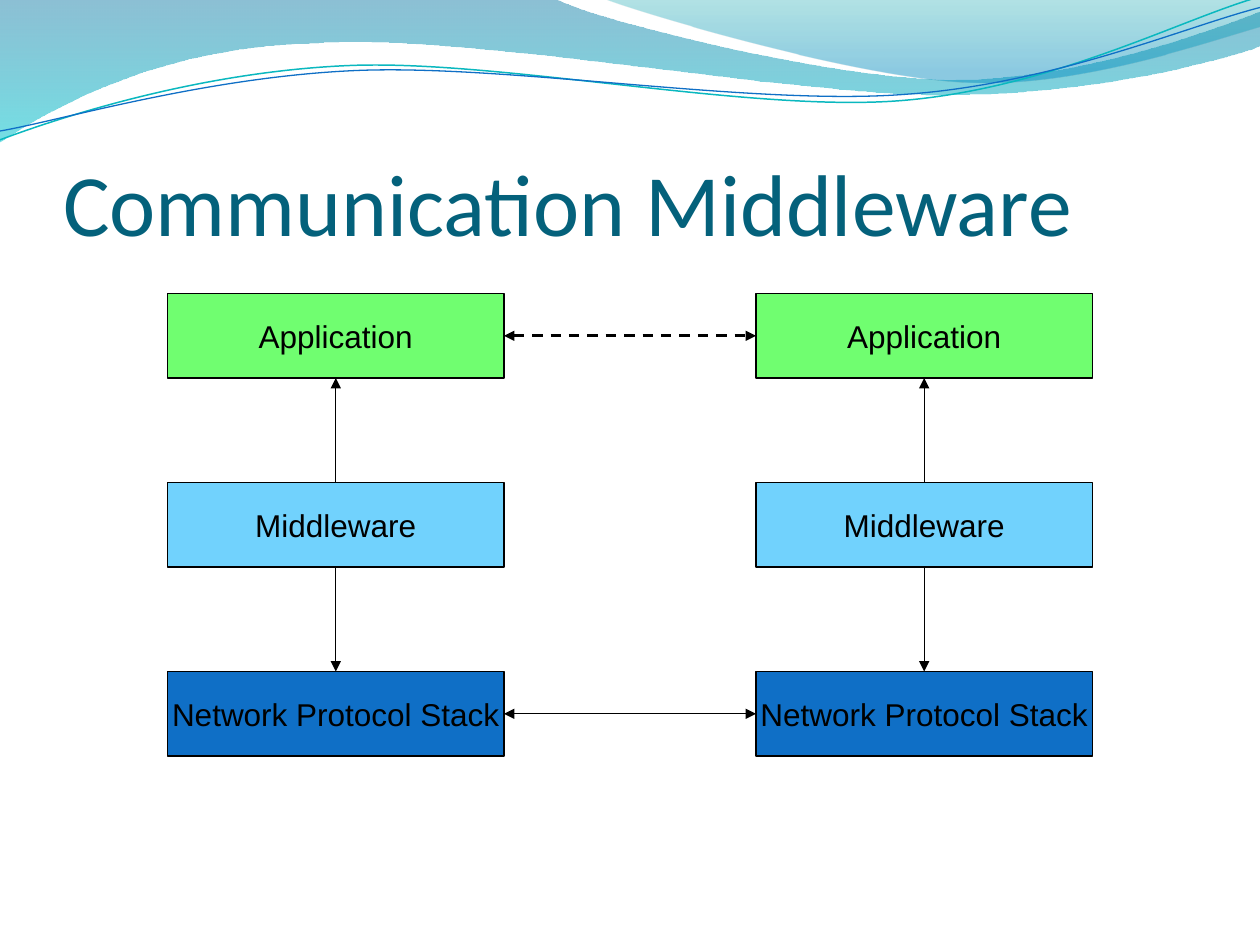
import math
from lxml import etree
from pptx import Presentation, util as u
from pptx.dml.color import RGBColor
from pptx.enum import dml, shapes, text
from pptx.oxml.ns import qn


def color(value):
    return RGBColor.from_string(value)


def add_curve(slide, segments, closed):
    corners = [(u.Inches(s[i]), u.Inches(s[i + 1])) for s in segments for i in range(0, len(s), 2)]
    builder = slide.shapes.build_freeform(*corners[0])
    builder.add_line_segments(corners[1:], close=closed)
    curve = builder.convert_to_shape()
    curve.shadow.inherit = False
    steps = iter(list(curve._element.spPr.iter(qn("a:lnTo"))))
    for segment in segments[1:]:
        step = next(steps)
        if len(segment) == 6:
            bend = etree.Element(qn("a:cubicBezTo"))
            step.addprevious(bend)
            for part in (step, next(steps), next(steps)):
                bend.append(part[0])
                part.getparent().remove(part)
    return curve


deck = Presentation()
deck.slide_width, deck.slide_height = u.Inches(10), u.Inches(7.5)
slide = deck.slides.add_slide(deck.slide_layouts[5])

bands = [
    ([(0, 0), (4.4, -0.01), (4.76, 0.17, 6.64, 0.63, 7.58, 0.63),
      (8.53, 0.63, 9.58, 0.26, 10, 0.09), (10.01, 0.36),
      (9.83, 0.44, 8.7, 0.76, 7.46, 0.75), (6.22, 0.75, 3.82, 0.28, 2.57, 0.34),
      (1.29, 0.36, 0.46, 0.83, -0.01, 1.13)],
     [(0, "0074A1", 45), (1, "00C6CF", 55)]),
    ([(4.79, -0.01), (5.09, 0.11, 6.82, 0.62, 7.69, 0.65),
      (8.56, 0.69, 9.61, 0.32, 10, 0.21), (10, 0)],
     [(0, "00A1A9", 30), (0.8, "008BBF", 45)]),
]
for outline, stops in bands:
    band = add_curve(slide, outline, True)
    band.line.fill.background()
    band.fill.gradient()
    band.fill.gradient_angle = 270
    for stop, (position, shade, opacity) in zip(band.fill.gradient_stops, stops):
        stop.position = position
        stop.color.rgb = color(shade)
    for tint, (position, shade, opacity) in zip(band._element.spPr.iter(qn("a:srgbClr")), stops):
        etree.SubElement(tint, qn("a:alpha")).set("val", str(opacity * 1000))

tilt = math.radians(2.7)
waves = [
    ([(0, 1.11), (0.48, 0.93, 1.58, 0.57, 2.77, 0.52), (3.95, 0.47, 5.93, 0.89, 7.13, 0.8),
      (8.33, 0.71, 9.38, 0.15, 9.98, -0.02)], (4.99, 0.575), "0AB8BF", 0.85),
    ([(0, 1.04), (0.47, 0.96, 1.64, 0.61, 2.83, 0.56), (4.03, 0.51, 5.97, 0.84, 7.17, 0.75),
      (8.36, 0.67, 9.41, 0.21, 10, 0.06)], (5, 0.59), "0F6FC6", 0.75),
]
for path, (cx, cy), shade, width in waves:
    level = []
    for segment in path:
        flat = []
        for x, y in zip(segment[::2], segment[1::2]):
            flat += [cx + (x - cx) * math.cos(tilt) - (y - cy) * math.sin(tilt),
                     cy + (x - cx) * math.sin(tilt) + (y - cy) * math.cos(tilt)]
        level.append(flat)
    wave = add_curve(slide, level, False)
    wave.rotation = 357.3
    wave.fill.background()
    wave.line.color.rgb = color(shade)
    wave.line.width = u.Pt(width)

title = slide.shapes.title
title.left, title.top, title.width, title.height = map(u.Inches, (0.5, 0.77, 9, 1.25))
frame = title.text_frame
frame.text = "Communication Middleware"
frame.auto_size = text.MSO_AUTO_SIZE.NONE
frame.vertical_anchor = text.MSO_ANCHOR.BOTTOM
frame.margin_left = frame.margin_right = frame.margin_bottom = 0
frame.margin_top = u.Inches(0.05)
heading = frame.paragraphs[0]
heading.alignment = text.PP_ALIGN.LEFT
heading.runs[0].font.name = "Calibri"
heading.runs[0].font.size = u.Pt(50)
heading.runs[0].font.color.rgb = color("04617B")
slide.shapes._spTree.append(title._element)

layers = [("Application", "70FE70", 2.33), ("Network Protocol Stack", "0F6FC6", 5.33),
          ("Middleware", "71D2FD", 3.83)]
hosts = [{}, {}]
for name, shade, top in layers:
    for host, left in zip(hosts, (1.33, 6)):
        layer = slide.shapes.add_shape(shapes.MSO_SHAPE.RECTANGLE, u.Inches(left), u.Inches(top),
                                       u.Inches(2.67), u.Inches(0.67))
        layer.shadow.inherit = False
        layer.fill.solid()
        layer.fill.fore_color.rgb = color(shade)
        layer.line.color.rgb = color("000000")
        layer.line.width = u.Pt(0.75)
        frame = layer.text_frame
        frame.text = name
        frame.word_wrap = False
        frame.vertical_anchor = text.MSO_ANCHOR.MIDDLE
        label = frame.paragraphs[0]
        label.alignment = text.PP_ALIGN.CENTER
        label.space_before = u.Pt(3.6)
        label.runs[0].font.name = "Arial"
        label.runs[0].font.size = u.Pt(18)
        label.runs[0].font.color.rgb = color("000000")
        host[name] = layer

near, far = hosts
links = [
    (near["Application"], 2, near["Network Protocol Stack"], 0, False),
    (near["Network Protocol Stack"], 3, far["Network Protocol Stack"], 1, False),
    (far["Network Protocol Stack"], 0, far["Application"], 2, False),
    (near["Application"], 3, far["Application"], 1, True),
]
for source, source_side, target, target_side, logical in links:
    link = slide.shapes.add_connector(shapes.MSO_CONNECTOR.STRAIGHT, 0, 0, 0, 0)
    link.begin_connect(source, source_side)
    link.end_connect(target, target_side)
    link.line.color.rgb = color("000000")
    link.line.width = u.Pt(1.5 if logical else 0.75)
    if logical:
        link.line.dash_style = dml.MSO_LINE.DASH
    outline = link.line._get_or_add_ln()
    for end in ("a:headEnd", "a:tailEnd"):
        etree.SubElement(outline, qn(end)).set("type", "triangle")
    etree.SubElement(link._element.spPr, qn("a:effectLst"))

for host in hosts:
    slide.shapes._spTree.append(host["Middleware"]._element)

deck.save("out.pptx")
